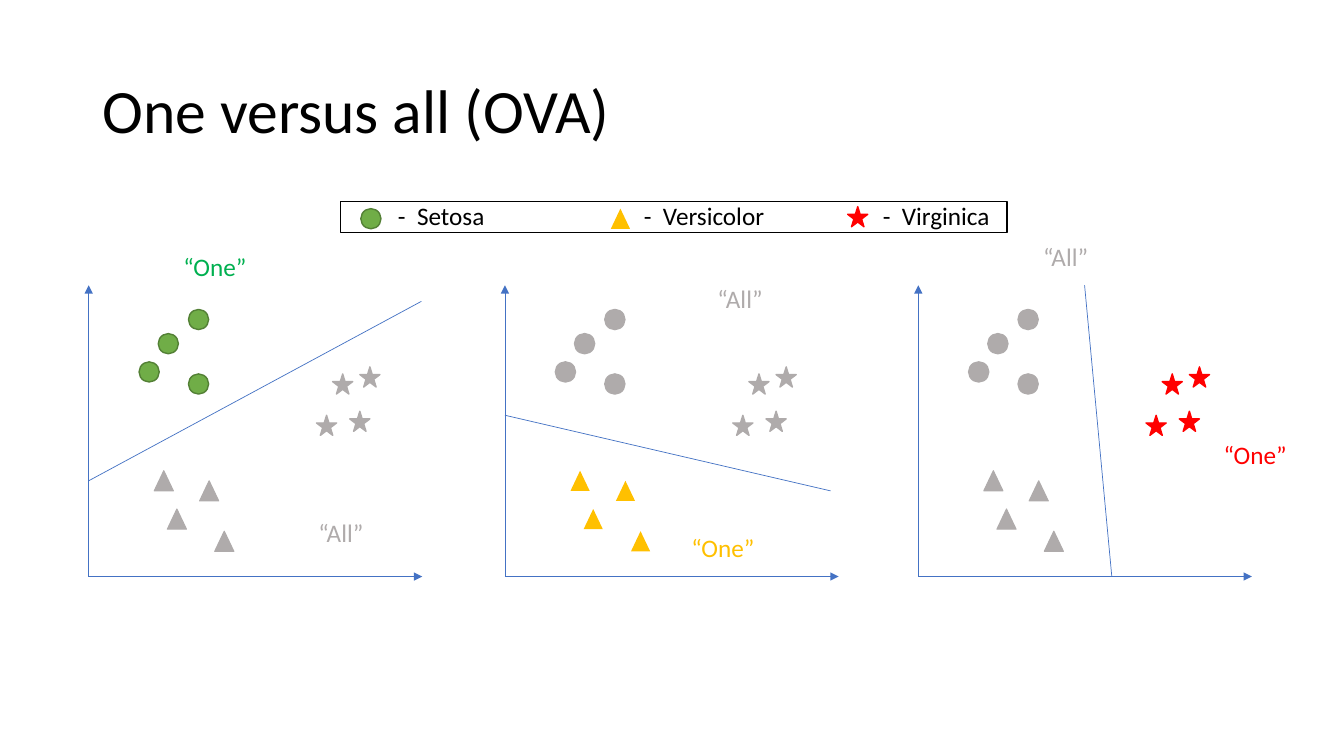
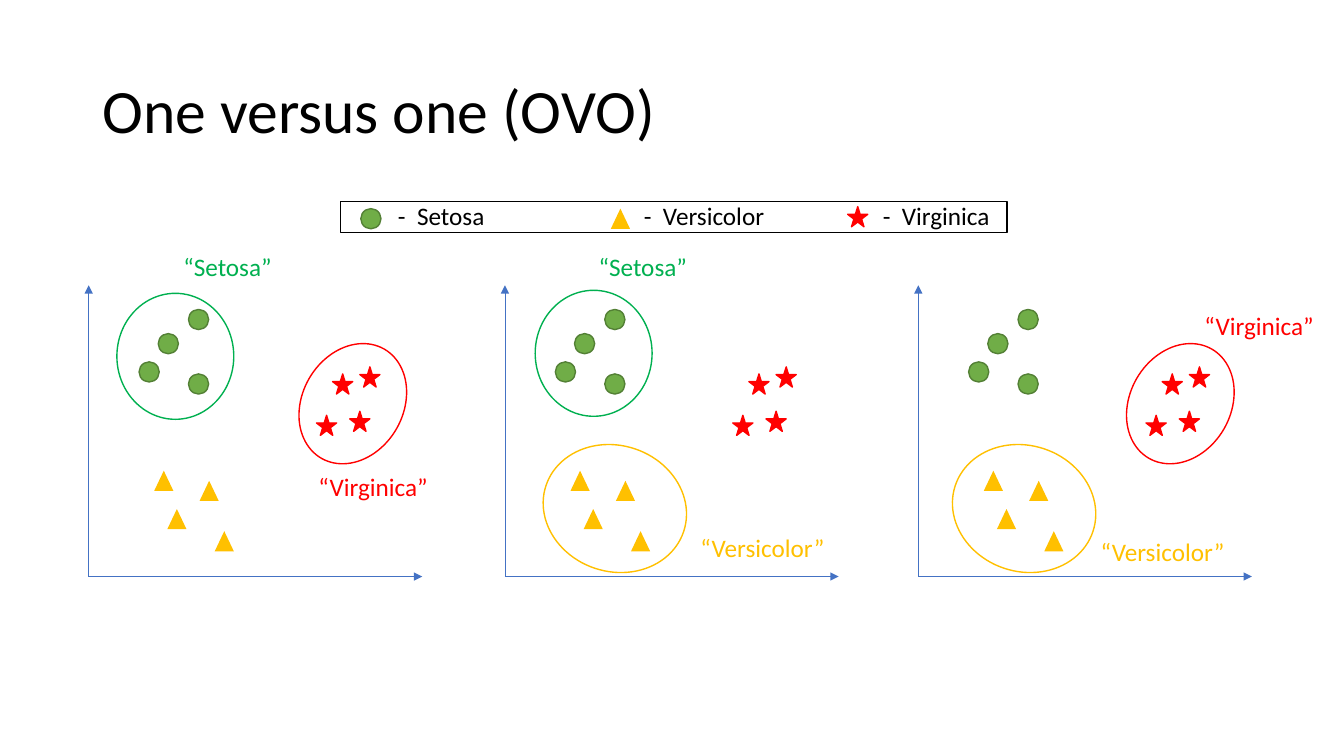
import pptx
import pptx.util
import pptx.dml.color
import pptx.enum.shapes
import pptx.enum.text
import pptx.oxml.ns
import lxml.etree

PX = 9144  # 100 px to the inch
SHAPE = pptx.enum.shapes.MSO_SHAPE
COLORS = {
    "text": "000000", "axis": "4472C4", "gray": "AFABAB",
    "green": "70AD47", "dark green": "538035", "label green": "00B050",
    "gold": "FFC000", "red": "FF0000",
}
TITLE_FORMAT = {"name": "Calibri", "size": pptx.util.Pt(44)}
LABEL_FORMAT = {"name": "Calibri", "size": pptx.util.Pt(18)}

# Species: marker, its colours, accent for labels and rings, points from the
# panel's left edge, ring (width, height, rotation), legend places
SPECIES = {
    "Versicolor": {
        "marker": SHAPE.ISOSCELES_TRIANGLE, "width": 19, "fill": "gold", "line": None,
        "gray line width": 0.75, "accent": "gold", "ring": (144, 125, 18.5),
        "points": [(65, 467), (110, 477), (78, 505), (125, 527)],
        "legend marker": (606, 207), "legend text": 629,
    },
    "Setosa": {
        "marker": SHAPE.OVAL, "width": 20, "fill": "green", "line": "dark green",
        "gray line width": 1, "accent": "label green", "ring": (116, 125, 0),
        "points": [(99, 307), (69, 331), (50, 359), (99, 371)],
        "legend marker": (358, 207), "legend text": 385,
    },
    "Virginica": {
        "marker": SHAPE.STAR_5_POINT, "width": 20, "fill": "red", "line": "red",
        "gray line width": 1, "accent": "red", "ring": (100, 125, 30),
        "points": [(242, 371), (226, 412), (259, 408), (269, 364)],
        "legend marker": (841, 205), "legend text": 866,
    },
}
PANEL_LEFTS = [88, 501, 911]
AXIS_TOP, AXIS_BOTTOM, AXIS_LENGTH = 283, 572, 331

# Per panel: coloured species, boundary line, rings (species, left, top),
# labels (text, colour, left, top, width)
SLIDES = [
    ("One versus all (OVA)", [
        {"colored": ["Setosa"], "boundary": (88, 477, 418, 299), "rings": [],
         "labels": [("“One”", "label green", 172, 244, 94), ("“All”", "gray", 306, 508, 94)]},
        {"colored": ["Versicolor"], "boundary": (501, 412, 824, 487), "rings": [],
         "labels": [("“One”", "gold", 676, 523, 94), ("“All”", "gray", 702, 276, 94)]},
        {"colored": ["Virginica"], "boundary": (1103, 572, 1076, 283), "rings": [],
         "labels": [("“One”", "red", 1204, 431, 110), ("“All”", "gray", 1025, 234, 94)]},
    ]),
    ("One versus one (OVO)", [
        {"colored": list(SPECIES), "boundary": None,
         "rings": [("Setosa", 116, 291), ("Virginica", 300, 338)],
         "labels": [("“Setosa”", "label green", 172, 244, 116),
                    ("“Virginica”", "red", 306, 463, 132)]},
        {"colored": list(SPECIES), "boundary": None,
         "rings": [("Setosa", 531, 288), ("Versicolor", 538, 442)],
         "labels": [("“Setosa”", "label green", 584, 244, 114),
                    ("“Versicolor”", "gold", 685, 523, 155)]},
        {"colored": list(SPECIES), "boundary": None,
         "rings": [("Versicolor", 944, 442), ("Virginica", 1121, 338)],
         "labels": [("“Virginica”", "red", 1185, 303, 133),
                    ("“Versicolor”", "gold", 1082, 527, 149)]},
    ]),
]


def add_figure(shapes, kind, box, fill=None, line=None, line_width=1):
    shape = shapes.add_shape(kind, *[value * PX for value in box])
    shape.shadow.inherit = False
    if fill:
        shape.fill.solid()
        shape.fill.fore_color.rgb = pptx.dml.color.RGBColor.from_string(COLORS[fill])
    else:
        shape.fill.background()
    if line:
        shape.line.color.rgb = pptx.dml.color.RGBColor.from_string(COLORS[line])
        shape.line.width = pptx.util.Pt(line_width)
    else:
        shape.line.fill.background()
    return shape


def add_text(shapes, text, box, color, text_format):
    shape = shapes.add_textbox(*[value * PX for value in box])
    shape.text_frame.word_wrap = True
    paragraph = shape.text_frame.paragraphs[0]
    run = paragraph.add_run()
    run.text = text
    for name, value in text_format.items():
        setattr(run.font, name, value)
    run.font.color.rgb = pptx.dml.color.RGBColor.from_string(COLORS[color])
    return shape


presentation = pptx.Presentation()
presentation.slide_width = 12192000
presentation.slide_height = 750 * PX

for title, panels in SLIDES:
    slide = presentation.slides.add_slide(presentation.slide_layouts[6])

    # Title
    title_box = add_text(slide.shapes, title, (92, 40, 1150, 145), "text", TITLE_FORMAT)
    title_box.text_frame.vertical_anchor = pptx.enum.text.MSO_ANCHOR.MIDDLE
    title_box.text_frame.paragraphs[0].line_spacing = 0.9

    for left, panel in zip(PANEL_LEFTS, panels):
        panel_shapes = slide.shapes.add_group_shape().shapes

        # Axes with arrowheads, and the boundary without
        lines = [((left, AXIS_BOTTOM, left, AXIS_TOP), True),
                 ((left, AXIS_BOTTOM, left + AXIS_LENGTH, AXIS_BOTTOM), True)]
        if panel["boundary"]:
            lines.append((panel["boundary"], False))
        for ends, has_arrow in lines:
            connector = panel_shapes.add_connector(
                pptx.enum.shapes.MSO_CONNECTOR.STRAIGHT, *[value * PX for value in ends])
            connector.line.color.rgb = pptx.dml.color.RGBColor.from_string(COLORS["axis"])
            connector.line.width = pptx.util.Pt(0.5)
            properties = connector._element.spPr
            if has_arrow:
                lxml.etree.SubElement(properties.find(pptx.oxml.ns.qn("a:ln")),
                                      pptx.oxml.ns.qn("a:tailEnd"), type="triangle")
            lxml.etree.SubElement(properties, pptx.oxml.ns.qn("a:effectLst"))

        # Data points
        for name, species in SPECIES.items():
            if name in panel["colored"]:
                style = (species["fill"], species["line"], 1)
            else:
                style = ("gray", "gray", species["gray line width"])
            for x, y in species["points"]:
                add_figure(panel_shapes, species["marker"],
                           (left + x, y, species["width"], 20), *style)

        # Rings and labels
        for name, x, y in panel["rings"]:
            width, height, rotation = SPECIES[name]["ring"]
            ring = add_figure(slide.shapes, SHAPE.OVAL, (x, y, width, height),
                              line=SPECIES[name]["accent"])
            ring.rotation = rotation
        for text, color, x, y, width in panel["labels"]:
            add_text(slide.shapes, text, (x, y, width, 40), color, LABEL_FORMAT)

    # Legend
    legend_shapes = slide.shapes.add_group_shape().shapes
    for name, species in SPECIES.items():
        add_figure(legend_shapes, species["marker"],
                   (*species["legend marker"], species["width"], 20),
                   species["fill"], species["line"])
        add_text(legend_shapes, f"-  {name}", (species["legend text"], 194, 170, 40),
                 "text", LABEL_FORMAT)
    add_figure(legend_shapes, SHAPE.RECTANGLE, (338, 200, 661, 31), line="text")

presentation.save("out.pptx")
